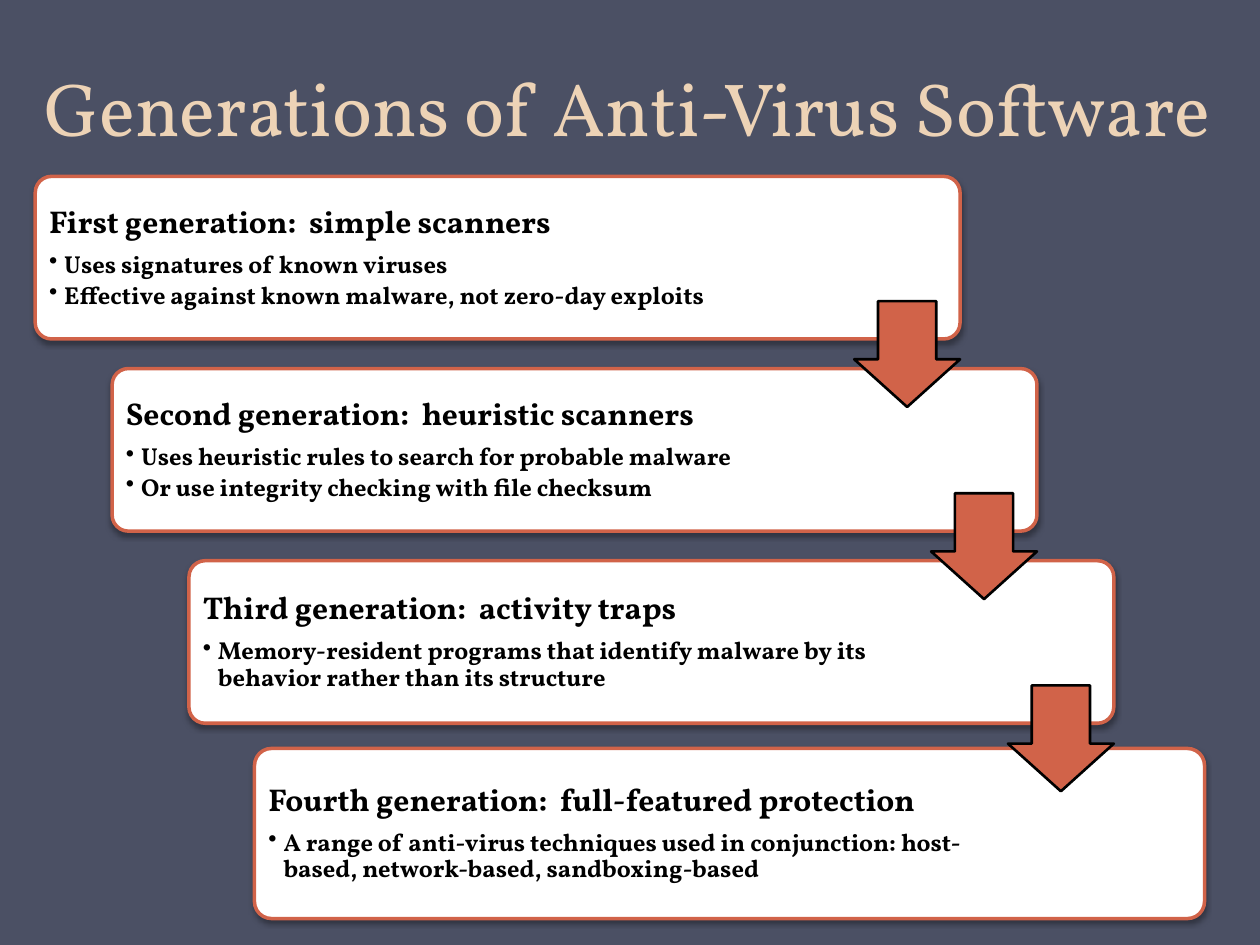
import pptx
import pptx.util
import pptx.dml.color
import pptx.enum.shapes
import pptx.enum.text
from lxml import etree

Inches, Pt = pptx.util.Inches, pptx.util.Pt
SHAPE = pptx.enum.shapes.MSO_SHAPE
ANCHOR = pptx.enum.text.MSO_ANCHOR
NS = "http://schemas.openxmlformats.org/drawingml/2006/main"
COLORS = {"back": "4B5064", "title": "EDD3B6", "card": "FFFFFF",
          "accent": "D16349", "ink": "000000"}
FONT = "Vollkorn"
STAGES = [
    ("First generation:  simple scanners",
     ["Uses signatures of known viruses",
      "Effective against known malware, not zero-day exploits"]),
    ("Second generation:  heuristic scanners",
     ["Uses heuristic rules to search for probable malware",
      "Or use integrity checking with file checksum"]),
    ("Third generation:  activity traps",
     ["Memory-resident programs that identify malware by its behavior "
      "rather than its structure"]),
    ("Fourth generation:  full-featured protection",
     ["A range of anti-virus techniques used in conjunction: host-based, "
      "network-based, sandboxing-based"]),
]


def rgb(name):
    """Return the named colour."""
    return pptx.dml.color.RGBColor.from_string(COLORS[name])


def add_node(parent, tag, **attrs):
    """Append a drawing element to a parent and return it."""
    return etree.SubElement(parent, f"{{{NS}}}{tag}", attrs)


def add_shape(slide, kind, box, fill, line, width, adjust):
    """Add a filled, outlined preset shape."""
    shape = slide.shapes.add_shape(kind, *map(Inches, box))
    shape.shadow.inherit = False
    shape.fill.solid()
    shape.fill.fore_color.rgb = rgb(fill)
    shape.line.color.rgb = rgb(line)
    shape.line.width = Pt(width)
    for i, value in enumerate(adjust):
        shape.adjustments[i] = value
    return shape


def add_frame(slide, box, anchor, inset):
    """Add a wrapping text box and return its frame."""
    frame = slide.shapes.add_textbox(*map(Inches, box)).text_frame
    frame.word_wrap = True
    frame.vertical_anchor = anchor
    frame.margin_left = frame.margin_right = Inches(inset)
    frame.margin_top = frame.margin_bottom = Inches(inset)
    return frame


def set_font(para, size, color, bold=False):
    """Set the font of a whole paragraph."""
    para.font.name = FONT
    para.font.size = Pt(size)
    para.font.bold = bold
    para.font.color.rgb = rgb(color)


def add_title(slide, box):
    """Add the slide title."""
    para = add_frame(slide, box, ANCHOR.BOTTOM, 0.05).paragraphs[0]
    para.text = "Generations of Anti-Virus Software"
    para.alignment = pptx.enum.text.PP_ALIGN.CENTER
    para.line_spacing = Pt(58)
    set_font(para, 43, "title")


def add_card(slide, box, head, points):
    """Add one generation card with its heading and bullets."""
    left, top, width, height = box
    card = add_shape(slide, SHAPE.ROUNDED_RECTANGLE, box,
                     "card", "accent", 2, [0.1])
    effects = card._element.spPr.find(f"{{{NS}}}effectLst")
    shadow = add_node(effects, "outerShdw", blurRad=str(Pt(3.1)),
                      dist=str(Pt(1.8)), dir="5400000", rotWithShape="0")
    tint = add_node(shadow, "srgbClr", val=COLORS["ink"])
    add_node(tint, "alpha", val="35000")

    pad = 0.04
    frame = add_frame(slide, (left + pad, top + pad, width * 0.793,
                              height - 2 * pad), ANCHOR.MIDDLE, 0.07)
    para = frame.paragraphs[0]
    para.text = head
    para.line_spacing = 0.9
    para.space_after = Pt(7)
    set_font(para, 18, "ink", True)
    for point in points:
        para = frame.add_paragraph()
        para.text = point
        para.level = 1
        para.line_spacing = 0.9
        para.space_after = Pt(2.3)
        props = para._p.get_or_add_pPr()
        props.set("marL", str(Inches(0.12)))
        props.set("indent", str(Inches(-0.12)))
        add_node(props, "buChar", char="•")
        set_font(para, 14, "ink", True)


def add_arrow(slide, box):
    """Add the arrow leading down from a card's right edge."""
    left, top, width, _ = box
    size = 0.84
    add_shape(slide, SHAPE.DOWN_ARROW,
              (left + width - size, top + 0.99, size, size),
              "accent", "ink", 1.5, [0.55, 0.45])


def add_stairs(slide, box):
    """Add the staircase of cards, the last one filling the corner."""
    left, top, width, height = box
    boxes = [(left + 0.61 * i, top + 1.525 * i, 7.34, 1.29)
             for i in range(3)]
    boxes.append((left + width - 7.54, top + height - 1.35, 7.54, 1.35))
    for place, (head, points) in zip(boxes, STAGES):
        add_card(slide, place, head, points)
    for place in boxes[:-1]:
        add_arrow(slide, place)


def main():
    """Build and save the slide."""
    deck = pptx.Presentation()
    deck.slide_width, deck.slide_height = Inches(10), Inches(7.5)
    slide = deck.slides.add_slide(deck.slide_layouts[6])
    slide.background.fill.solid()
    slide.background.fill.fore_color.rgb = rgb("back")
    add_title(slide, (-0.02, 0, 10, 1.25))
    add_stairs(slide, (0.28, 1.4, 9.28, 5.89))
    deck.save("out.pptx")


if __name__ == "__main__":
    main()
